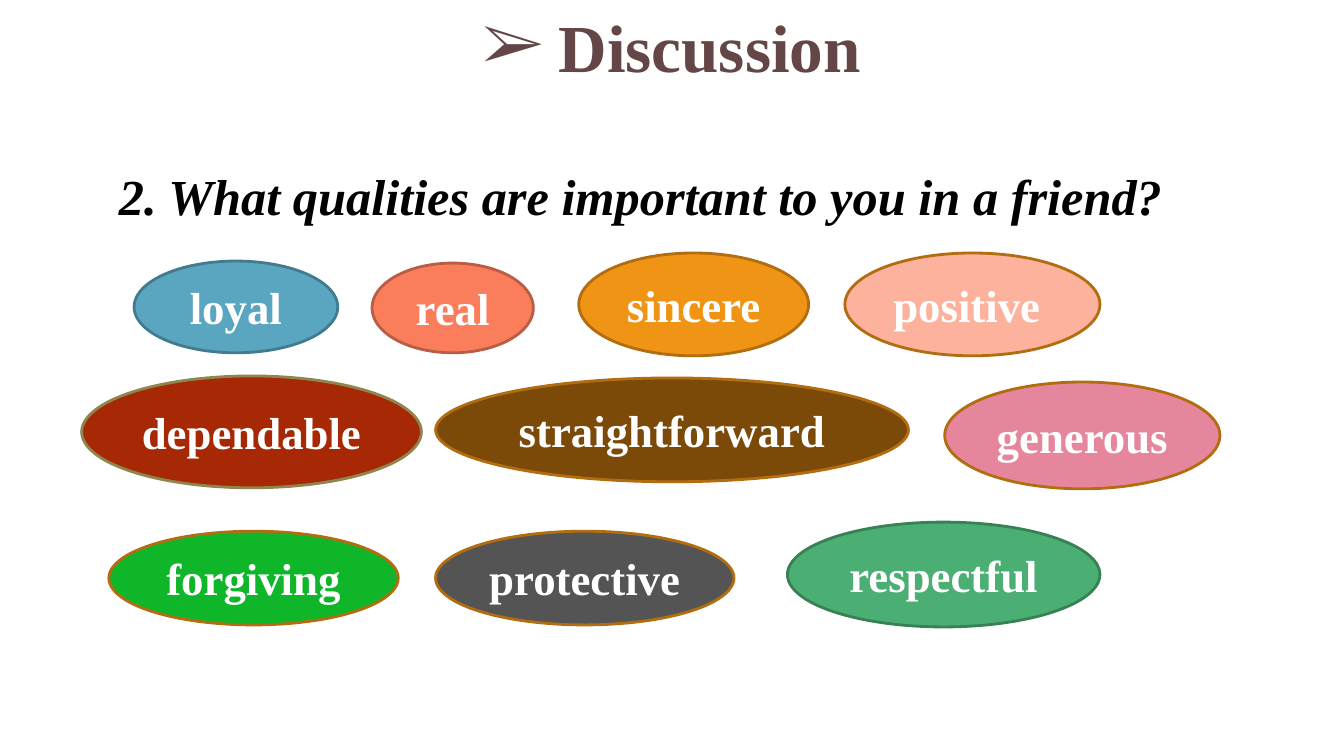
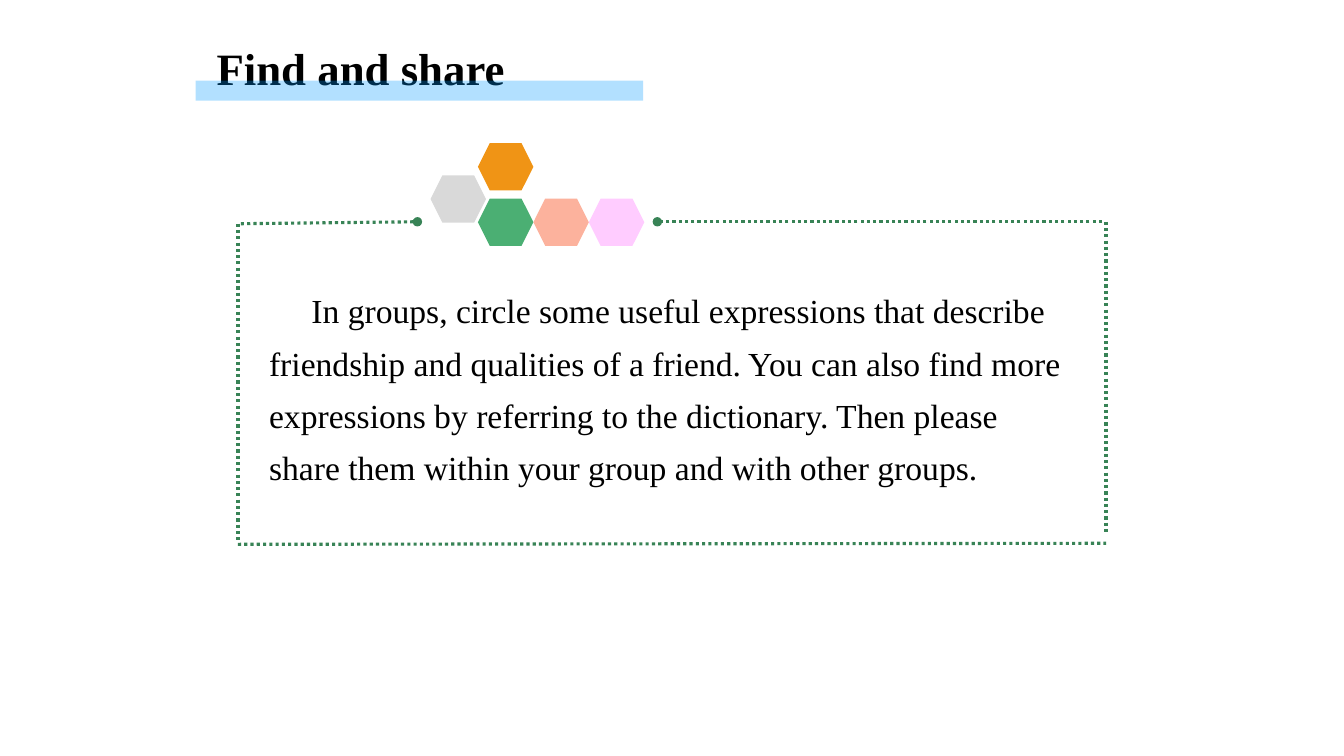
from lxml import etree
from pptx import Presentation
from pptx.dml.color import RGBColor
from pptx.enum import dml, shapes, text
from pptx.oxml.ns import qn
from pptx.util import Inches, Pt

FONT = "Times New Roman"
COLORS = {
    "black": "000000", "white": "FFFFFF", "heading": "644646",
    "orange": "F09415", "orange edge": "B26D10", "blue": "5AA6C0", "blue edge": "437B8E",
    "coral": "FA7E5C", "coral edge": "B95D44", "peach": "FCB29D", "red": "A62805",
    "olive edge": "8F864F", "brown": "7B4A08", "pink": "E6869D", "lime": "0FB62A",
    "dark gray": "545454", "green": "4BAF73", "green edge": "378155",
    "frame": "388356", "light gray": "D9D9D9", "lilac": "FFCCFF", "highlight": "0099FF",
}


def add_shape(slide, kind, box, fill, edge=None):
    shape = slide.shapes.add_shape(kind, *[Inches(value) for value in box])
    shape.shadow.inherit = False
    shape.fill.solid()
    shape.fill.fore_color.rgb = RGBColor.from_string(COLORS[fill])
    if edge:
        shape.line.color.rgb = RGBColor.from_string(COLORS[edge])
        shape.line.width = Pt(2)
    else:
        shape.line.fill.background()
    return shape


def write(shape, words, size, color="black", bold=True, italic=False,
          align=text.PP_ALIGN.LEFT):
    shape.text_frame.word_wrap = True
    paragraph = shape.text_frame.paragraphs[0]
    paragraph.alignment = align
    run = paragraph.add_run()
    run.text = words
    run.font.name, run.font.size = FONT, Pt(size)
    run.font.bold, run.font.italic = bold, italic
    run.font.color.rgb = RGBColor.from_string(COLORS[color])
    return paragraph


presentation = Presentation()
presentation.slide_width, presentation.slide_height = Inches(13.33), Inches(7.5)
blank = presentation.slide_layouts[6]

# Slide 1: discussion question
slide = presentation.slides.add_slide(blank)
question = add_shape(slide, shapes.MSO_SHAPE.RECTANGLE, (1.08, 1.59, 11.18, 0.71), "white")
question.text_frame.vertical_anchor = text.MSO_ANCHOR.TOP
write(question, "2. What qualities are important to you in a friend?", 36, italic=True)

# Bulleted heading, wide enough for one line
heading = slide.shapes.add_textbox(Inches(4.54), Inches(0), Inches(4.25), Inches(0.91))
frame = heading.text_frame
frame.margin_left = frame.margin_right = frame.margin_top = frame.margin_bottom = Inches(0.05)
paragraph = write(heading, "Discussion", 48, "heading", align=text.PP_ALIGN.CENTER)
properties = paragraph._p.get_or_add_pPr()
properties.set("marL", str(Inches(0.75)))
properties.set("indent", str(-Inches(0.75)))
etree.SubElement(properties, qn("a:buFont")).set("typeface", FONT)
etree.SubElement(properties, qn("a:buChar")).set("char", "➢")

# Qualities, row by row
qualities = [
    ("loyal", (1.33, 2.59, 2.02, 0.91), "blue", "blue edge"),
    ("real", (3.69, 2.61, 1.6, 0.89), "coral", "coral edge"),
    ("sincere", (5.74, 2.51, 2.28, 1.02), "orange", "orange edge"),
    ("positive ", (8.38, 2.51, 2.53, 1.02), "peach", "orange edge"),
    ("dependable", (0.81, 3.73, 3.37, 1.11), "red", "olive edge"),
    ("straightforward", (4.32, 3.75, 4.69, 1.03), "brown", "orange edge"),
    ("generous", (9.37, 3.79, 2.73, 1.06), "pink", "orange edge"),
    ("forgiving", (1.08, 5.27, 2.87, 0.93), "lime", "orange edge"),
    ("protective", (4.32, 5.27, 2.96, 0.93), "dark gray", "orange edge"),
    ("respectful", (7.81, 5.18, 3.1, 1.04), "green", "green edge"),
]
for word, box, fill, edge in qualities:
    ellipse = add_shape(slide, shapes.MSO_SHAPE.OVAL, box, fill, edge)
    ellipse.text_frame.margin_left = ellipse.text_frame.margin_right = Inches(0.05)
    ellipse.text_frame.vertical_anchor = text.MSO_ANCHOR.MIDDLE
    write(ellipse, word, 32, "white", align=text.PP_ALIGN.CENTER)

# Slide 2: group task
slide = presentation.slides.add_slide(blank)
task = slide.shapes.add_textbox(Inches(2.57), Inches(2.71), Inches(8.19), Inches(2.2))
paragraph = write(
    task,
    "In groups, circle some useful expressions that describe friendship and qualities "
    "of a friend. You can also find more expressions by referring to the dictionary. "
    "Then please share them within your group and with other groups.",
    24, bold=False)
paragraph.line_spacing = 1.3
paragraph._p.get_or_add_pPr().set("indent", str(Inches(0.42)))

# Dotted frame, open at the top for the hexagons
frame_lines = [
    ((4.14, 2.2), (2.36, 2.22), "headEnd"),
    ((2.36, 2.22), (2.36, 5.39), None),
    ((2.36, 5.4), (10.97, 5.39), None),
    ((10.97, 2.2), (10.97, 5.31), None),
    ((10.93, 2.2), (6.52, 2.2), "tailEnd"),
]
for start, end, dot in frame_lines:
    connector = slide.shapes.add_connector(
        shapes.MSO_CONNECTOR.STRAIGHT, *[Inches(value) for value in start + end])
    connector.line.color.rgb = RGBColor.from_string(COLORS["frame"])
    connector.line.width = Pt(2.25)
    connector.line.dash_style = dml.MSO_LINE.ROUND_DOT
    if dot:
        etree.SubElement(connector.line._get_or_add_ln(), qn("a:" + dot)).set("type", "oval")
    etree.SubElement(connector._element.spPr, qn("a:effectLst"))

# Hexagon cluster
hexagons = [
    (4.27, 1.74, "light gray"), (4.74, 1.42, "orange"),
    (4.74, 1.97, "green"), (5.29, 1.97, "peach"), (5.84, 1.97, "lilac"),
]
for left, top, fill in hexagons:
    add_shape(slide, shapes.MSO_SHAPE.HEXAGON, (left, top, 0.55, 0.47), fill)

# Title with a translucent highlight over it
title = slide.shapes.add_textbox(Inches(2.05), Inches(0.36), Inches(9.1), Inches(0.64))
write(title, "Find and share", 32)
highlight = add_shape(slide, shapes.MSO_SHAPE.RECTANGLE, (1.94, 0.8, 4.44, 0.2), "highlight")
color = highlight._element.spPr.find(qn("a:solidFill")).find(qn("a:srgbClr"))
etree.SubElement(color, qn("a:alpha")).set("val", "30000")

presentation.save("out.pptx")
